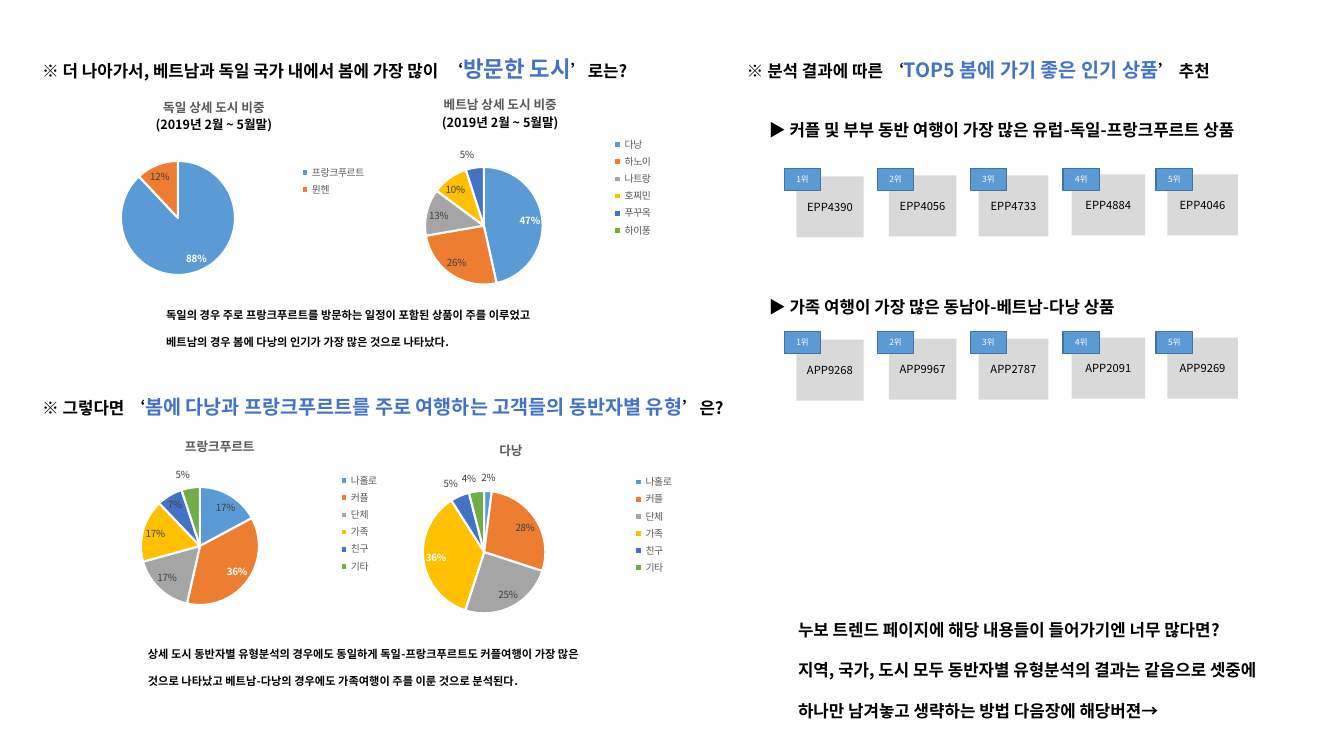
from lxml.etree import SubElement
from pptx import Presentation
from pptx.chart.data import CategoryChartData
from pptx.dml.color import RGBColor
from pptx.enum.chart import XL_CHART_TYPE, XL_LABEL_POSITION, XL_LEGEND_POSITION
from pptx.enum.shapes import MSO_SHAPE
from pptx.enum.text import MSO_ANCHOR, PP_ALIGN
from pptx.oxml.ns import qn
from pptx.util import Pt

FONT = "Noto Sans CJK KR"
BLACK, BLUE, GREY = "000000", "4472C4", "595959"
SLICES = ["5B9BD5", "ED7D31", "A5A5A5", "FFC000", "4472C4", "70AD47"]


def style(font, size, color, bold=False):
    font.name = FONT
    font.size = Pt(size)
    font.bold = bold
    font.color.rgb = RGBColor.from_string(color)


def place(part, index, frame, **box):
    for old in part.findall(qn("c:layout")):
        part.remove(old)
    layout = part.makeelement(qn("c:layout"))
    part.insert(index, layout)
    manual = SubElement(layout, qn("c:manualLayout"))
    if "w" in box and index == 0:
        SubElement(manual, qn("c:layoutTarget"), val="inner")
    for axis in "xy":
        SubElement(manual, qn(f"c:{axis}Mode"), val="edge")
    left, top, width, height = frame
    starts = {"x": left, "y": top, "w": 0, "h": 0}
    spans = {"x": width, "y": height, "w": width, "h": height}
    for key, value in box.items():
        SubElement(manual, qn(f"c:{key}"), val=str(round((value - starts[key]) / spans[key], 4)))


prs = Presentation()
prs.slide_width, prs.slide_height = Pt(960), Pt(540)
slide = prs.slides.add_slide(prs.slide_layouts[6])
roots = [slide.element]

companions = ["나홀로", "커플", "단체", "가족", "친구", "기타"]
period = "(2019년 2월 ~ 5월말)"
pies = [
    (["독일 상세 도시 비중", period], ["프랑크푸르트", "뮌헨"], [0.88, 0.12], 0,
     (41, 53.3, 225.4, 154.1), (86.4, 115, 81.5), (213, 116.5, 50, 26), (109, 66)),
    (["베트남 상세 도시 비중", period], ["다낭", "하노이", "나트랑", "호찌민", "푸꾸옥", "하이퐁"],
     [0.47, 0.26, 0.13, 0.1, 0.05, 0], 0,
     (239.8, 55.4, 231.1, 157.7), (303.6, 119.3, 84), (435, 96, 34, 76), (313.5, 64)),
    (["다낭"], companions, [0.02, 0.28, 0.25, 0.36, 0.05, 0.04], 3,
     (241.9, 301.7, 244.1, 146.9), (302.1, 350.7, 87.5), (450, 337, 34, 76), (355, 312)),
    (["프랑크푸르트"], companions, [0.17, 0.36, 0.17, 0.17, 0.07, 0.05], 1,
     (35.3, 299.5, 241.2, 149.8), (100.7, 347.9, 84.3), (239.5, 336, 34, 76), (130.5, 309.5)),
]
for title_lines, names, shares, largest, frame, circle, key, title_at in pies:
    data = CategoryChartData(number_format="0%")
    data.categories = names
    data.add_series("Series 1", shares)
    chart = slide.shapes.add_chart(XL_CHART_TYPE.PIE, *map(Pt, frame), data).chart
    roots.append(chart.element)
    style(chart.font, 7, BLACK)

    chart.has_title = True
    title = chart.chart_title.text_frame
    title.text = "\n".join(title_lines)
    for line, color in zip(title.paragraphs, [GREY, BLACK]):
        style(line.font, 9, color, True)
    x, y = title_at
    place(chart.chart_title.element if hasattr(chart.chart_title, "element")
          else chart.element.find(".//" + qn("c:title")), 1, frame, x=x, y=y)

    chart.has_legend = True
    chart.legend.position = XL_LEGEND_POSITION.RIGHT
    chart.legend.include_in_layout = False
    style(chart.legend.font, 7, GREY)
    x, y, w, h = key
    place(chart.element.find(".//" + qn("c:legend")), 1, frame, x=x, y=y, w=w, h=h)
    x, y, size = circle
    place(chart.element.find(".//" + qn("c:plotArea")), 0, frame, x=x, y=y, w=size, h=size)

    plot = chart.plots[0]
    plot.vary_by_categories = True
    series = plot.series[0]
    labels = series.data_labels
    labels.show_value = True
    labels.show_percentage = False
    labels.number_format = "0%"
    labels.number_format_is_linked = False
    labels.position = XL_LABEL_POSITION.BEST_FIT
    style(labels.font, 7, "404040")
    for i, color in enumerate(SLICES[:len(names)]):
        wedge = series.points[i].format
        wedge.fill.solid()
        wedge.fill.fore_color.rgb = RGBColor.from_string(color)
        wedge.line.color.rgb = RGBColor.from_string("FFFFFF")
        wedge.line.width = Pt(1.5)
    top_label = series.points[largest].data_label
    style(top_label.font, 7, "FFFFFF", True)
    top_label.position = XL_LABEL_POSITION.BEST_FIT

texts = [
    ((23, 16.6, 448.6, 46.1), 12, [[("※ 더 나아가서, 베트남과 독일 국가 내에서 봄에 가장 많이  ‘", 12, BLACK),
                                    ("방문한 도시", 16, BLUE), ("’로는?", 12, BLACK)]]),
    ((111.6, 207.4, 297.4, 46.1), 8, ["독일의 경우 주로 프랑크푸르트를 방문하는 일정이 포함된 상품이 주를 이루었고",
                                      "베트남의 경우 봄에 다낭의 인기가 가장 많은 것으로 나타났다."]),
    ((23, 262.1, 495.4, 41), 12, [[("※ 그렇다면 ‘", 12, BLACK),
                                   ("봄에 다낭과 프랑크푸르트를 주로 여행하는 고객들의 동반자별 유형", 14, BLUE),
                                   ("’은?", 12, BLACK)]]),
    ((98.6, 449.3, 323.3, 46.1), 8, ["상세 도시 동반자별 유형분석의 경우에도 동일하게 독일-프랑크푸르트도 커플여행이 가장 "
                                     "많은 것으로 나타났고 베트남-다낭의 경우에도 가족여행이 주를 이룬 것으로 분석된다."]),
    ((542.2, 67.7, 374.4, 36), 12, ["▶ 커플 및 부부 동반 여행이 가장 많은 유럽-독일-프랑크푸르트 상품"]),
    ((526.3, 20.9, 448.6, 41), 12, [[("※ 분석 결과에 따른 ‘", 12, BLACK),
                                     ("TOP5 봄에 가기 좋은 인기 상품", 14, BLUE), ("’ 추천", 12, BLACK)]]),
    ((542.2, 193.7, 374.4, 36), 12, ["▶ 가족 여행이 가장 많은 동남아-베트남-다낭 상품"]),
    ((563, 424.8, 374.4, 94.3), 12, ["누보 트렌드 페이지에 해당 내용들이 들어가기엔 너무 많다면?",
                                     "지역, 국가, 도시 모두 동반자별 유형분석의 결과는 같음으로 셋중에 "
                                     "하나만 남겨놓고 생략하는 방법 다음장에 해당버젼→"]),
]
for box, size, lines in texts:
    frame = slide.shapes.add_textbox(*map(Pt, box)).text_frame
    frame.word_wrap = True
    for i, line in enumerate(lines):
        paragraph = frame.add_paragraph() if i else frame.paragraphs[0]
        paragraph.line_spacing = 2.0
        if isinstance(line, str):
            paragraph.text = line
            style(paragraph.font, size, BLACK, True)
            continue
        for words, run_size, color in line:
            run = paragraph.add_run()
            run.text = words
            style(run.font, run_size, color, True)

card_spans = [(568.8, 126, 48.2), (635, 125.3, 48.2), (699.1, 125.3, 49.7),
              (765.4, 124.6, 52.6), (833.8, 124.6, 50.4)]
products = [["EPP4390", "EPP4056", "EPP4733", "EPP4884", "EPP4046"],
            ["APP9268", "APP9967", "APP2787", "APP2091", "APP9269"]]
for row, codes in enumerate(products):
    drop = 116.6 * row
    tiles = [((left, top + drop, width, 43.5), code, "D9D9D9", 8, BLACK)
             for (left, top, width), code in zip(card_spans, codes)]
    tiles += [((560.2 + 66.4 * i, 120.2 + drop, 26, 15.8), f"{i + 1}위", "5B9BD5", 6, "FFFFFF")
              for i in range(5)]
    for box, words, fill, size, color in tiles:
        tile = slide.shapes.add_shape(MSO_SHAPE.RECTANGLE, *map(Pt, box))
        tile.shadow.inherit = False
        tile.fill.solid()
        tile.fill.fore_color.rgb = RGBColor.from_string(fill)
        if size == 6:
            tile.line.color.rgb = RGBColor.from_string("43739E")
            tile.line.width = Pt(1)
        else:
            tile.line.fill.background()
        frame = tile.text_frame
        frame.margin_left = frame.margin_right = 0
        frame.vertical_anchor = MSO_ANCHOR.MIDDLE
        paragraph = frame.paragraphs[0]
        paragraph.text = words
        paragraph.alignment = PP_ALIGN.CENTER
        style(paragraph.font, size, color)

for root in roots:
    for latin in list(root.iter(qn("a:latin"))):
        latin.addnext(latin.makeelement(qn("a:ea"), {"typeface": FONT}))

prs.save("out.pptx")
